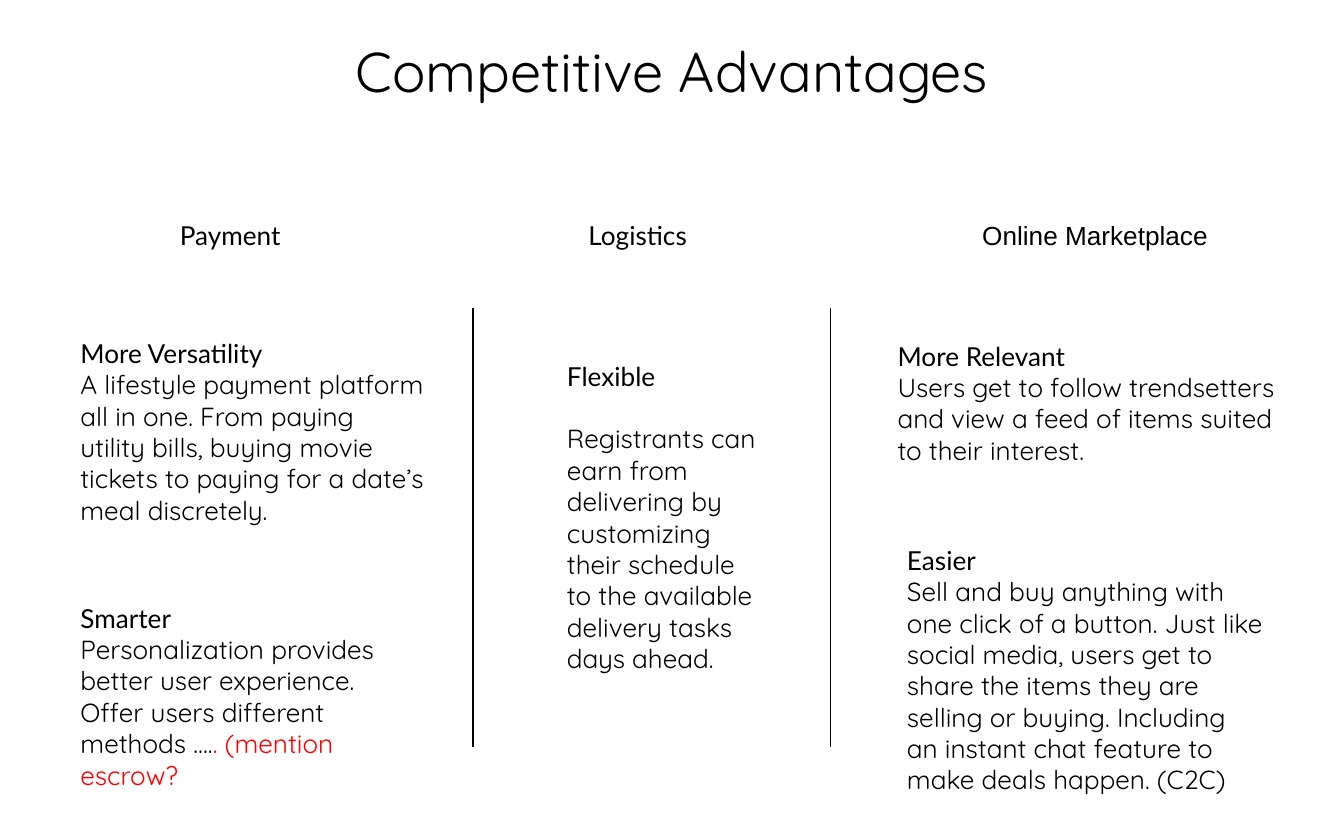
from pptx import Presentation
from pptx.dml.color import RGBColor
from pptx.enum.shapes import MSO_CONNECTOR
from pptx.enum.text import MSO_ANCHOR, MSO_AUTO_SIZE, PP_ALIGN
from pptx.oxml.ns import qn
from pptx.util import Inches, Pt
from lxml import etree

BLACK = RGBColor(0x00, 0x00, 0x00)
RED = RGBColor(0xFF, 0x00, 0x00)
WHITE = RGBColor(0xFF, 0xFF, 0xFF)
STRAIGHT = MSO_CONNECTOR.STRAIGHT
CENTER = PP_ALIGN.CENTER
MIDDLE = MSO_ANCHOR.MIDDLE
FIT_SHAPE = MSO_AUTO_SIZE.SHAPE_TO_FIT_TEXT
FIT_NONE = MSO_AUTO_SIZE.NONE

WIDTH, HEIGHT = Inches(10), Inches(6.25)
COLUMNS, ROWS = 100, 62.5
TITLE_ONLY = 5

HEADING_ROW = 15.8
HEADINGS = [
    ("Payment", "Lato", 12.4, 9.9, False),
    ("Logistics", "Lato", 42.8, 9.7, False),
    ("Online Marketplace", "Arial", 72.1, 19.3, True),
]

ADVANTAGES = [
    ("More Versatility", (5, 24.6, 27.7, 17.5), 0,
     [("A lifestyle payment platform all in one. From paying utility bills, buying movie "
       "tickets to paying for a date’s meal discretely.", BLACK)]),
    ("Smarter", (5, 44.3, 24.8, 17.5), 0,
     [("Personalization provides better user experience. Offer users different methods ….", BLACK),
      (". (mention escrow?", RED)]),
    ("Flexible", (41.2, 26.3, 16.5, 26.9), 16.8,
     [("Registrants can earn from delivering by customizing their schedule to the "
       "available delivery tasks days ahead.", BLACK)]),
    ("More Relevant", (65.8, 24.8, 30.4, 12.8), 0,
     [("Users get to follow trendsetters and view a feed of items suited to their interest.", BLACK)]),
    ("Easier", (66.5, 40, 28.5, 19.9), 0,
     [("Sell and buy anything with one click of a button. Just like social media, users get "
       "to share the items they are selling or buying. Including an instant chat feature to "
       "make deals happen. (C2C)", BLACK)]),
]

DIVIDER_COLUMNS = (35.2, 61.8)
DIVIDER_TOP, DIVIDER_BOTTOM = 22.9, 55.6


def write(paragraph, text, *, font="Quicksand", size=14, color=BLACK):
    run = paragraph.add_run()
    run.text = text
    run.font.name = font
    run.font.size = Pt(size)
    run.font.color.rgb = color


class SlideBuilder:
    def __init__(self, presentation):
        self.slide = presentation.slides.add_slide(presentation.slide_layouts[TITLE_ONLY])
        fill = self.slide.background.fill
        fill.solid()
        fill.fore_color.rgb = WHITE

    def x(self, columns):
        return round(WIDTH * columns / COLUMNS)

    def y(self, rows):
        return round(HEIGHT * rows / ROWS)

    def box(self, left, top, width, height):
        return self.x(left), self.y(top), self.x(width), self.y(height)

    def title(self, text, area):
        shape = self.slide.shapes.title
        shape.left, shape.top, shape.width, shape.height = self.box(*area)
        frame = shape.text_frame
        frame.auto_size = FIT_NONE
        frame.vertical_anchor = MIDDLE
        paragraph = frame.paragraphs[0]
        paragraph.alignment = CENTER
        write(paragraph, text, size=30)

    def label(self, text, area, font="Lato", wrap=True):
        frame = self.slide.shapes.add_textbox(*self.box(*area)).text_frame
        frame.word_wrap = wrap
        frame.auto_size = FIT_SHAPE
        write(frame.paragraphs[0], text, font=font)
        return frame

    def advantage(self, heading, area, gap, parts):
        frame = self.label(heading, area)
        frame.paragraphs[0].space_after = Pt(gap)
        paragraph = frame.add_paragraph()
        for text, color in parts:
            write(paragraph, text, color=color)

    def divider(self, column, top, bottom):
        connector = self.slide.shapes.add_connector(
            STRAIGHT, self.x(column), self.y(top), self.x(column), self.y(bottom))
        connector.line.color.rgb = BLACK
        connector.line.width = Pt(0.75)
        etree.SubElement(connector._element.spPr, qn("a:effectLst"))


def main():
    presentation = Presentation()
    presentation.slide_width, presentation.slide_height = WIDTH, HEIGHT
    builder = SlideBuilder(presentation)
    builder.title("Competitive Advantages", (5, 0, 90, 10.4))
    for advantage in ADVANTAGES:
        builder.advantage(*advantage)
    for column in DIVIDER_COLUMNS:
        builder.divider(column, DIVIDER_TOP, DIVIDER_BOTTOM)
    for text, font, left, width, wrap in HEADINGS:
        builder.label(text, (left, HEADING_ROW, width, 3.4), font, wrap)
    presentation.save("out.pptx")


if __name__ == "__main__":
    main()
